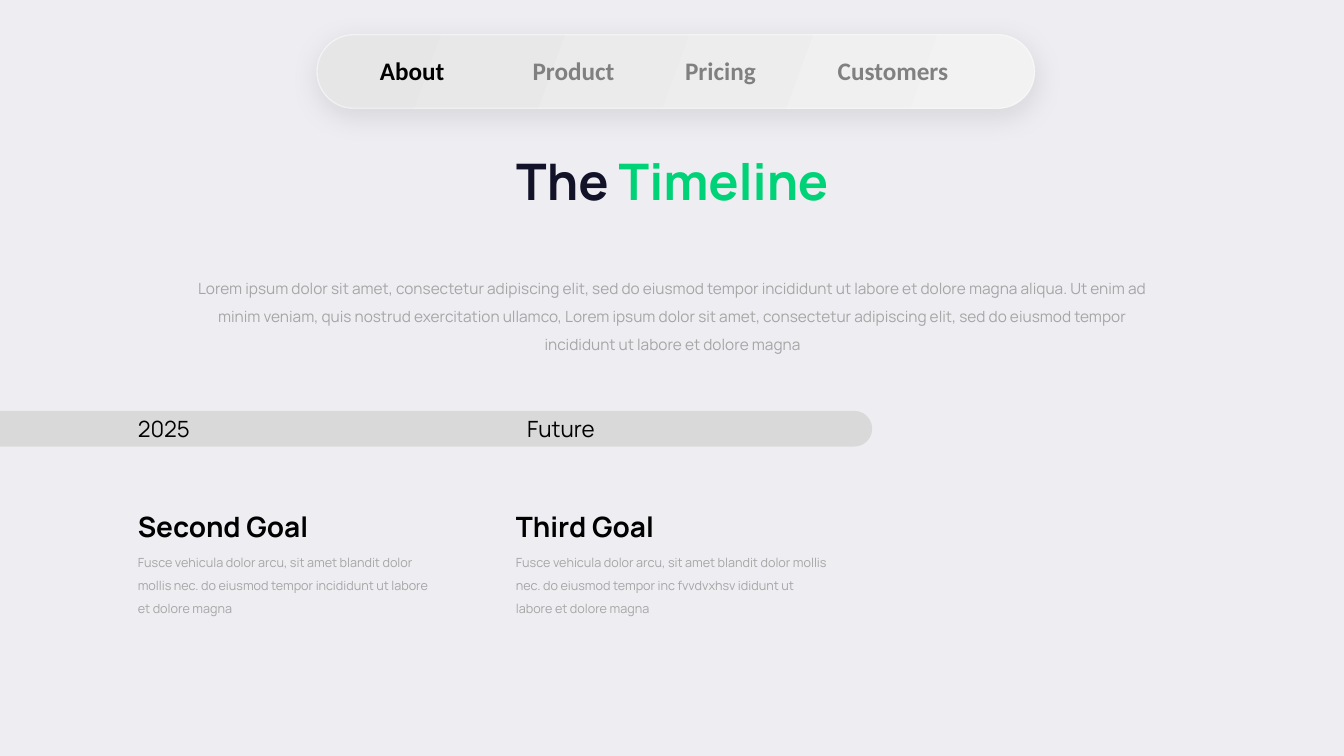
from lxml import etree
from pptx import Presentation
from pptx import util as u
from pptx.dml.color import RGBColor
from pptx.enum import shapes, text
from pptx.oxml import ns


def rgb(hex_color):
    return RGBColor.from_string(hex_color)


class Deck:
    FONT = "Manrope"
    NAV_FONT = "Calibri"
    BACKGROUND = "EEEDF2"
    INK = "000000"
    NAVY = "121228"
    GREEN = "00D278"
    GREY = "A6A6A6"
    NAV_GREY = "808080"
    BAR = "D9D9D9"
    NO_STYLE = "{2D5ABB26-0587-4C30-8999-92F81FD0307C}"

    def __init__(self, prs):
        self.slide = prs.slides.add_slide(prs.slide_layouts[6])
        fill = self.slide.background.fill
        fill.solid()
        fill.fore_color.rgb = rgb(self.BACKGROUND)

    def set_font(self, p, size, color, bold=False, name=FONT):
        p.font.name, p.font.size, p.font.bold = name, u.Pt(size), bold
        p.font.color.rgb = rgb(color)

    def add_alpha(self, parent, percent):
        """Set the opacity of the srgbClr found under parent."""
        color = parent.find(".//" + ns.qn("a:srgbClr"))
        etree.SubElement(color, ns.qn("a:alpha"), val=str(percent * 1000))

    def nav_pill(self, x, y, w, h):
        sp = self.slide.shapes.add_shape(
            shapes.MSO_SHAPE.ROUNDED_RECTANGLE, u.Pt(x), u.Pt(y), u.Pt(w), u.Pt(h))
        sp.adjustments[0] = 0.5
        sp.fill.gradient()
        sp.fill.gradient_angle = 340
        for stop, color in zip(sp.fill.gradient_stops, ("E7E6E6", "F2F2F2")):
            stop.color.rgb = rgb(color)
        sp.line.width = u.Pt(1)
        sp.line.color.rgb = rgb("FFFFFF")
        self.add_alpha(sp.element.spPr.find(ns.qn("a:ln")), 50)
        sp.shadow.inherit = False
        effects = sp.element.spPr.find(ns.qn("a:effectLst"))
        shadow = etree.SubElement(
            effects, ns.qn("a:outerShdw"), blurRad=str(u.Pt(20)), dist=str(u.Pt(5)),
            dir="5400000", algn="t", rotWithShape="0")
        etree.SubElement(shadow, ns.qn("a:srgbClr"), val=self.INK)
        self.add_alpha(shadow, 10)

    def nav_table(self, x, y, w, h, labels):
        gf = self.slide.shapes.add_table(
            1, len(labels), u.Pt(x), u.Pt(y), u.Pt(w), u.Pt(h))
        gf.element.find(".//" + ns.qn("a:tableStyleId")).text = self.NO_STYLE
        table = gf.table
        table.first_row = table.horz_banding = False
        for i, label in enumerate(labels):
            cell = table.cell(0, i)
            cell.fill.background()
            cell.text = label
            self.set_font(cell.text_frame.paragraphs[0], 18,
                          self.NAV_GREY if i else self.INK, True, self.NAV_FONT)

    def timeline_bar(self, x, y, w, h):
        """Draw a bar with a round right end: an upright tab turned by 90 degrees."""
        sp = self.slide.shapes.add_shape(
            shapes.MSO_SHAPE.ROUND_2_SAME_RECTANGLE,
            u.Pt(x + (w - h) / 2), u.Pt(y + (h - w) / 2), u.Pt(h), u.Pt(w))
        sp.rotation = 90
        sp.adjustments[0] = 0.5
        sp.fill.solid()
        sp.fill.fore_color.rgb = rgb(self.BAR)
        sp.line.fill.background()
        sp.shadow.inherit = False

    def text(self, x, y, w, h, runs, size, color, bold=False, centered=False, spacing=None):
        """Add a text box; runs is a list of (words, own color or None)."""
        tf = self.slide.shapes.add_textbox(u.Pt(x), u.Pt(y), u.Pt(w), u.Pt(h)).text_frame
        tf.word_wrap = True
        tf.auto_size = text.MSO_AUTO_SIZE.SHAPE_TO_FIT_TEXT
        p = tf.paragraphs[0]
        p.alignment = text.PP_ALIGN.CENTER if centered else text.PP_ALIGN.LEFT
        p.line_spacing = spacing
        self.set_font(p, size, color, bold)
        for words, own_color in runs:
            r = p.add_run()
            r.text = words
            if own_color:
                r.font.color.rgb = rgb(own_color)

    def goal(self, x, w, title, body):
        self.text(x, 360.7, w, 31.5, [(title, None)], 20, self.INK, bold=True)
        self.text(x, 387.4, w, 71.3, [(body, None)], 9, self.GREY, spacing=1.5)

    def period(self, x, label):
        self.text(x, 293, 166.3, 26.6, [(label, None)], 16, self.INK)


def main():
    prs = Presentation()
    prs.slide_width, prs.slide_height = u.Pt(960), u.Pt(540)
    s = Deck(prs)

    s.nav_pill(226.4, 24.8, 512.6, 52.6)
    s.nav_table(264.2, 36.7, 436, 29.5, ["About", "Product", "Pricing", "Customers"])
    s.text(270, 103.7, 420.5, 51.1, [("The ", None), ("Timeline", s.GREEN)],
           36, s.NAVY, bold=True, centered=True)
    s.text(132.5, 189.4, 696.2, 65.5, [(
        "Lorem ipsum dolor sit amet, consectetur adipiscing elit, sed do eiusmod tempor "
        "incididunt ut labore et dolore magna aliqua. Ut enim ad minim veniam, quis nostrud "
        "exercitation ullamco, Lorem ipsum dolor sit amet, consectetur adipiscing elit, sed "
        "do eiusmod tempor incididunt ut labore et dolore magna", None)],
        11, s.GREY, centered=True, spacing=1.5)

    s.goal(91.4, 223.2, "Second Goal",
           "Fusce vehicula dolor arcu, sit amet blandit dolor mollis nec. do eiusmod tempor "
           "incididunt ut labore et dolore magna")
    s.goal(361.4, 236.9, "Third Goal",
           "Fusce vehicula dolor arcu, sit amet blandit dolor mollis nec. do eiusmod tempor "
           "inc fvvdvxhsv ididunt ut labore et dolore magna")

    s.timeline_bar(0, 293.5, 623, 25.5)
    s.period(91.4, "2025")
    s.period(369.4, "Future")
    prs.save("out.pptx")


if __name__ == "__main__":
    main()
